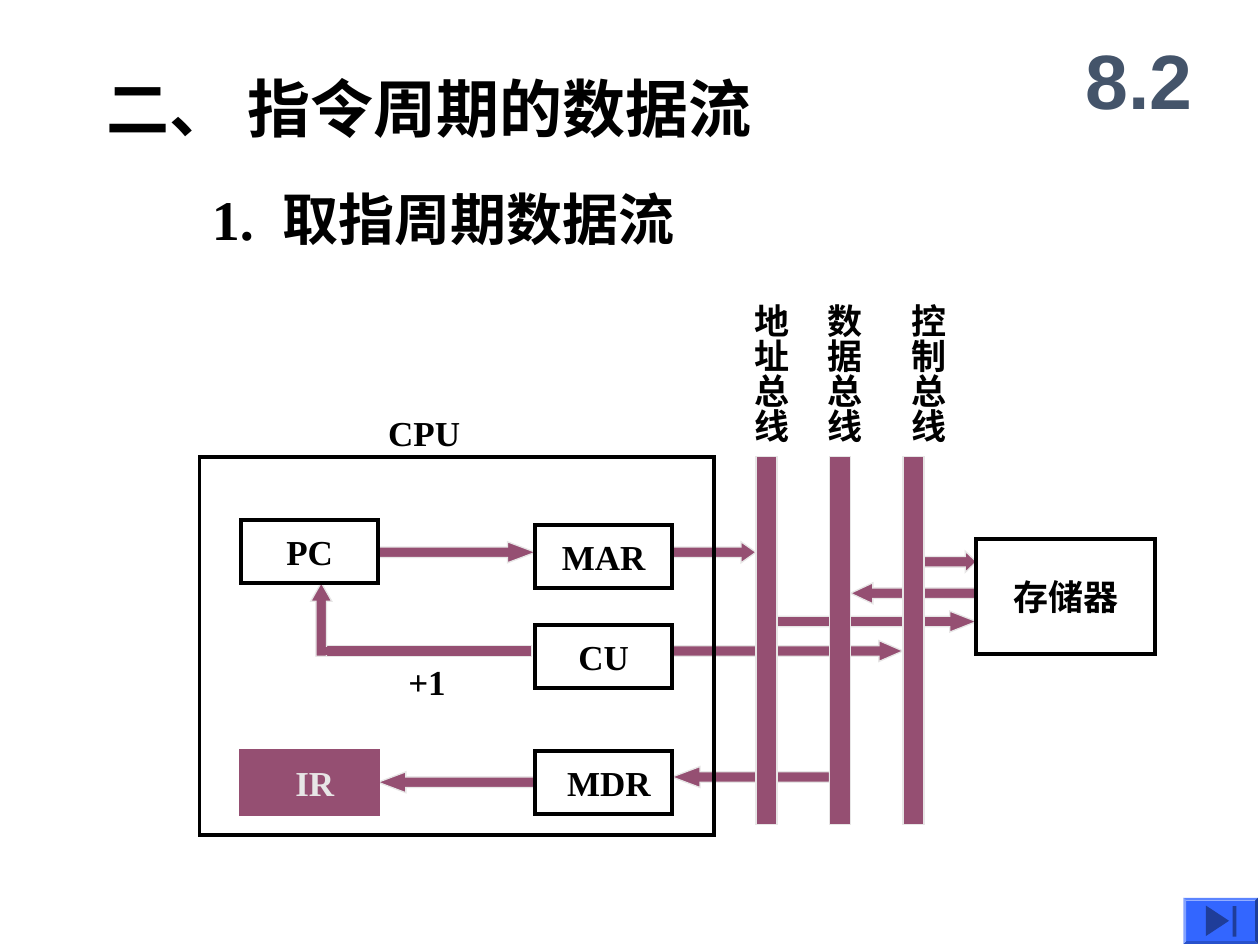
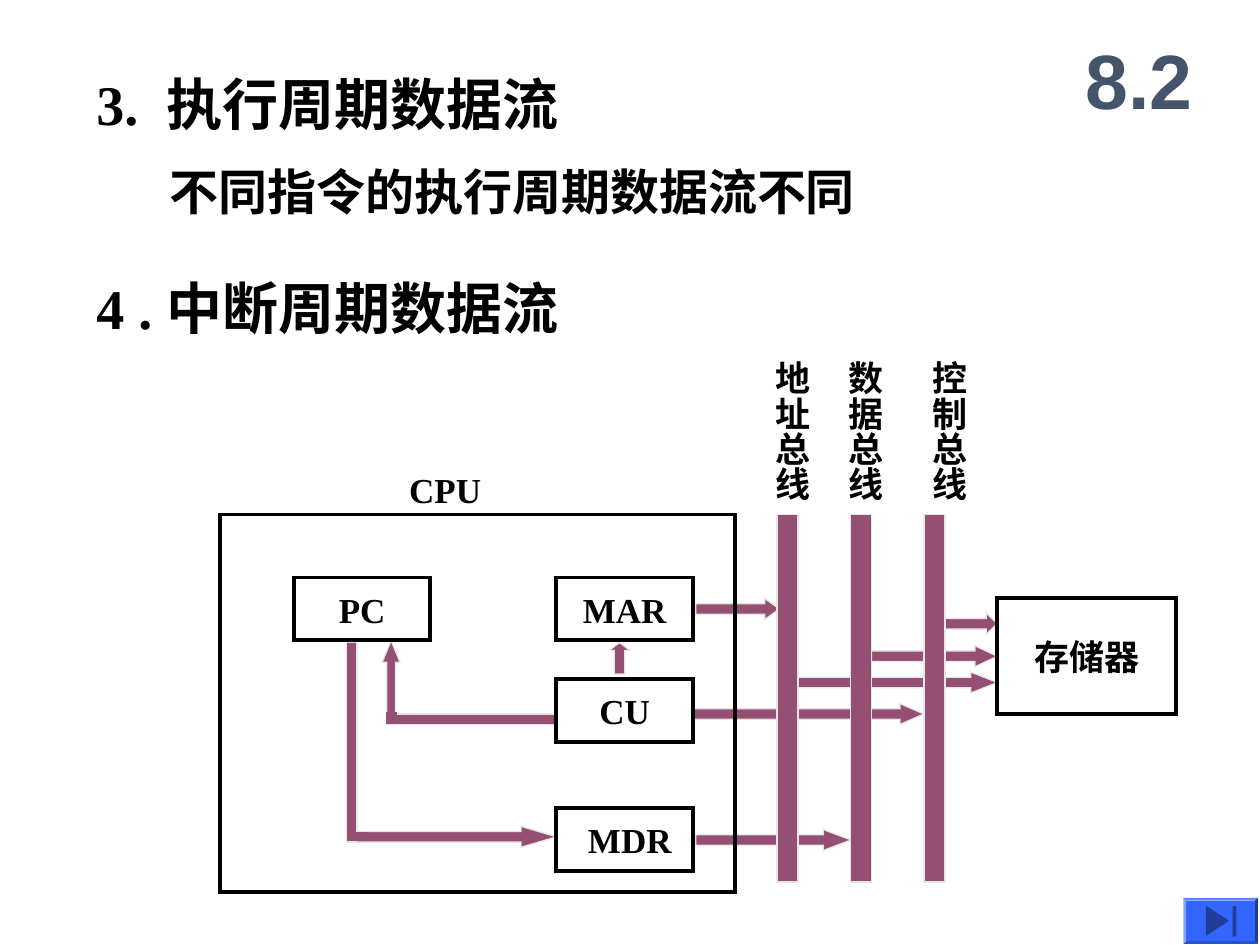
"""Build two slides on the data flow of the instruction cycle."""
from lxml.etree import SubElement
from pptx import Presentation
from pptx.dml.color import RGBColor
from pptx.enum.shapes import MSO_SHAPE
from pptx.enum.text import MSO_ANCHOR, PP_ALIGN
from pptx.oxml.ns import qn
from pptx.util import Inches, Pt

RECT = MSO_SHAPE.RECTANGLE
RIGHT = MSO_SHAPE.RIGHT_ARROW
LEFT = MSO_SHAPE.LEFT_ARROW
UP = MSO_SHAPE.UP_ARROW
BEVEL = MSO_SHAPE.BEVEL
WEDGE = MSO_SHAPE.ISOSCELES_TRIANGLE
MID, TOP = MSO_ANCHOR.MIDDLE, MSO_ANCHOR.TOP
START, MIDST = PP_ALIGN.LEFT, PP_ALIGN.CENTER

BLACK, PLUM, PALE = "000000", "954F72", "E7E6E6"
SLATE, BLUE, NAVY = "44546A", "3366FF", "1F3D99"
SERIF, SANS = "Times New Roman", "Arial"

deck = Presentation()
deck.slide_width, deck.slide_height = Inches(10), Inches(7.5)
CELL = deck.slide_width / 120


def tint(color, code):
    """Set a colour from its hex string."""
    color.rgb = RGBColor.from_string(code)


def put(slide, spot, kind=None, fill=None, edge=None, weight=0.75, text="",
        size=20, ink=BLACK, face=SERIF, align=MIDST):
    """Place a shape or text box; spot holds column, row, width, height."""
    place = [round(n * CELL) for n in spot]
    if kind is None:
        shape = slide.shapes.add_textbox(*place)
    else:
        shape = slide.shapes.add_shape(kind, *place)
        shape.shadow.inherit = False
        if fill:
            shape.fill.solid()
            tint(shape.fill.fore_color, fill)
        else:
            shape.fill.background()
        if edge:
            tint(shape.line.color, edge)
            shape.line.width = Pt(weight)
            SubElement(shape.element.spPr.find(qn("a:ln")), qn("a:miter")).set("lim", "800000")
        else:
            shape.line.fill.background()
    if text:
        frame = shape.text_frame
        frame.word_wrap = align == START
        frame.vertical_anchor = MID
        para = frame.paragraphs[0]
        para.text, para.alignment = text, align
        font = para.font
        font.name, font.size, font.bold = face, Pt(size), True
        tint(font.color, ink)
    return shape


pages = [
    dict(
        origin=(19, 43.5),
        heads=[(9, 6, 75, 8.4, 36, "二、 指令周期的数据流"),
               (19, 16.9, 75, 7.7, 32, "1.  取指周期数据流")],
        arrows=[(LEFT, 17, 30, 15, 2, 1.33), (RIGHT, 17, 8.1, 15, 2, 1.33),
                (RIGHT, 45, 8.1, 8, 2, 0.71), (LEFT, 45, 29.5, 15, 2, 1.33),
                (RIGHT, 45, 17.5, 22, 2, 1.15), (RIGHT, 55, 14.7, 19, 2, 1.27),
                (LEFT, 62, 12, 12, 2, 1.07), (RIGHT, 68, 9, 6, 2, 0.53),
                (UP, 10.6, 12, 2, 7, 0.88)],
        bars=[(11.6, 18, 20, 1)],
        joins=[(11.5, 18.15, 1.05, 0.7)],
        boxes=[("PC", 4, 6), ("MAR", 32, 6.5), ("CU", 32, 16),
               ("MDR", 32, 28), ("IR", 4, 28)],
        store=7.8,
    ),
    dict(
        origin=(21, 49),
        heads=[(8, 6, 75, 7.7, 32, "3.  执行周期数据流"),
               (15, 14.8, 70, 6.8, 28, "不同指令的执行周期数据流不同"),
               (8, 25.4, 75, 7.7, 32, "4 . 中断周期数据流")],
        arrows=[(RIGHT, 45.25, 8, 8, 2, 0.71), (RIGHT, 13, 29.7, 19, 2, 1.69),
                (RIGHT, 45.25, 30, 14.8, 2, 1.32), (RIGHT, 62, 12.5, 12, 2, 1.07),
                (RIGHT, 45, 18, 22, 2, 1.15), (RIGHT, 55, 15, 19, 2, 1.27),
                (UP, 15.4, 12, 1.7, 8, 1.22), (UP, 37, 12.2, 2, 3, 0.38),
                (RIGHT, 68, 9.4, 6, 2, 0.53)],
        bars=[(12, 12.2, 1, 19), (16.3, 19, 15.6, 1)],
        joins=[(12.7, 30.3, 1.2, 0.7), (15.8, 18.9, 1, 1)],
        boxes=[("PC", 7, 6), ("MAR", 32, 6), ("CU", 32, 15.7), ("MDR", 32, 28)],
        store=8,
    ),
]

for page in pages:
    slide = deck.slides.add_slide(deck.slide_layouts[6])
    col, row = page["origin"]

    for *spot, size, text in page["heads"]:
        put(slide, spot, text=text, size=size, align=START)

    for x, y, wide, high in page["bars"]:
        put(slide, (col + x, row + y, wide, high), RECT, PLUM, PALE)
    for kind, x, y, wide, high, head in page["arrows"]:
        arrow = put(slide, (col + x, row + y, wide, high), kind, PLUM, PALE)
        arrow.adjustments[0], arrow.adjustments[1] = 0.5, head
    for x, y, wide, high in page["joins"]:
        put(slide, (col + x, row + y, wide, high), RECT, PLUM, PLUM)

    put(slide, (col, row, 49, 36), RECT, edge=BLACK, weight=2.25)
    put(slide, (col + 15.4, row - 5, 12, 5.3), text="CPU")
    for i, (name, x) in enumerate([("地址总线", 50.6), ("数据总线", 57.6),
                                   ("控制总线", 65.6)]):
        put(slide, (col + 53 + 7 * i, row, 2, 35), RECT, PLUM, PALE)
        label = put(slide, (col + x, row - 15.8, 6.4, 16), text=name)
        frame = label.text_frame
        frame.vertical_anchor = TOP
        frame.margin_left = frame.margin_right = Inches(0.05)
        frame.margin_top = frame.margin_bottom = Inches(0.1)
        label.element.txBody.bodyPr.set("vert", "eaVert")

    for name, x, y in page["boxes"]:
        fill, edge, ink = (PLUM, PLUM, PALE) if name == "IR" else (None, BLACK, BLACK)
        box = put(slide, (col + x, row + y, 13, 6), RECT, fill, edge, 2.25, name, ink=ink)
        if name in ("MDR", "IR"):
            box.text_frame.margin_left = Inches(0.18)
    put(slide, (col + 74, row + page["store"], 17, 11), RECT, None, BLACK, 2.25, "存储器")
    if page is pages[0]:
        put(slide, (col + 18.7, row + 18.8, 21, 5.3), text="+1", align=START)

    put(slide, (101, 2, 15, 11), text="8.2", size=44, ink=SLATE, face=SANS)
    key = put(slide, (112.7, 85.5, 7.1, 4.4), BEVEL, BLUE)
    key.adjustments[0] = 0.06
    put(slide, (114.5, 86.6, 2.9, 2.2), WEDGE, NAVY).rotation = 90
    put(slide, (117.4, 86.3, 0.36, 2.9), RECT, NAVY)

deck.save("out.pptx")
